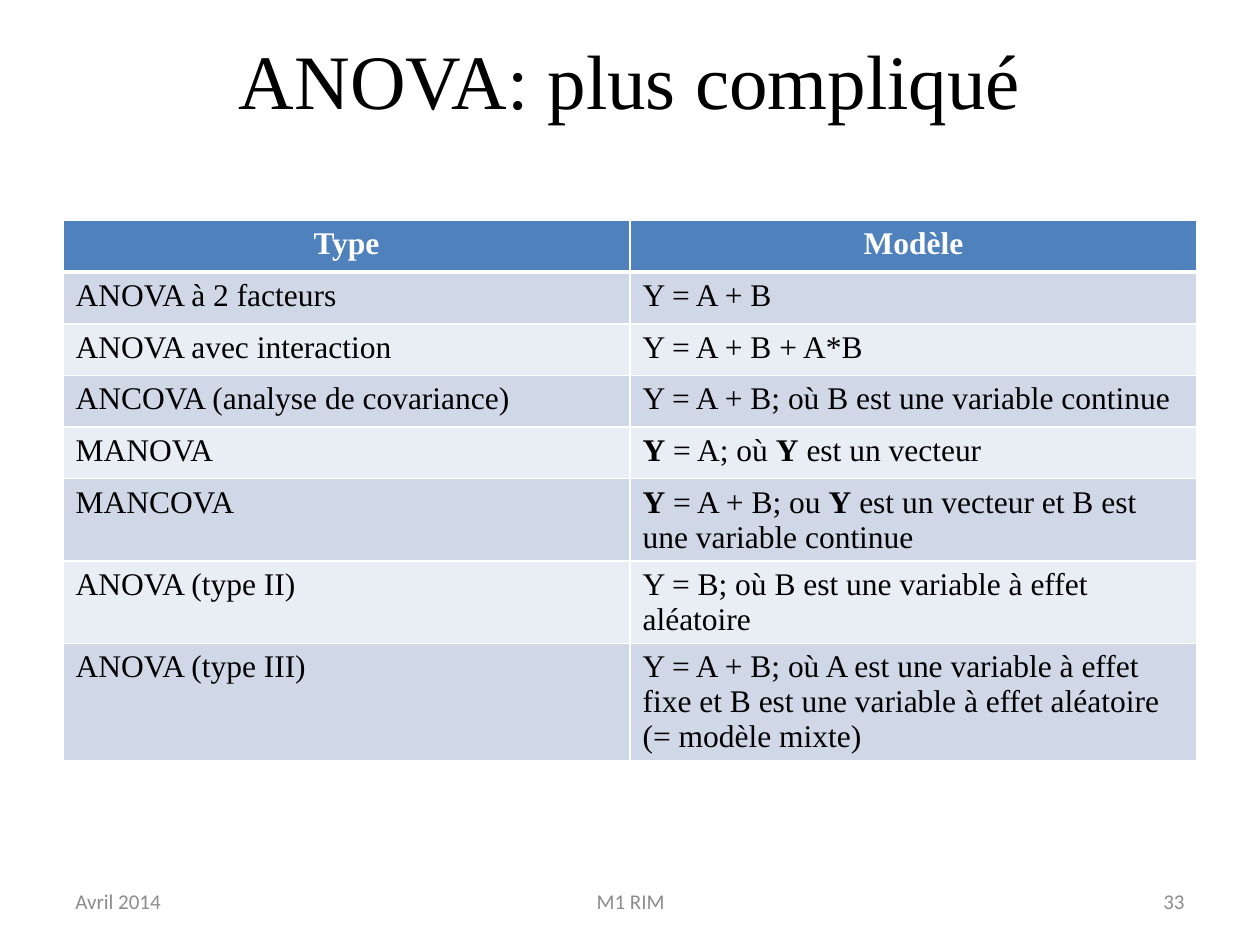
from dataclasses import dataclass

from lxml import etree
from pptx import Presentation
from pptx import util as u
from pptx.dml.color import RGBColor
from pptx.enum import text
from pptx.oxml import ns


@dataclass(frozen=True)
class Theme:
    serif: str = "Times New Roman"
    sans: str = "Calibri"
    ink: str = "000000"
    paper: str = "FFFFFF"
    header: str = "4F81BD"
    bands: tuple = ("D0D8E8", "E9EDF4")
    muted: str = "8C8C8C"
    title_size: int = 44
    table_size: int = 18
    footer_size: int = 12
    thin: int = 1
    thick: int = 3


@dataclass(frozen=True)
class Model:
    kind: str
    formula: str


@dataclass(frozen=True)
class FooterItem:
    wording: str
    left: float
    width: float
    align: text.PP_ALIGN


THEME = Theme()
ALIGN = text.PP_ALIGN
MARGIN = 0.5
CONTENT_WIDTH = 9
TABLE_TOP = 1.75
ROW_HEIGHT = 0.41
FOOTER_TOP = 6.95
FOOTER_HEIGHT = 0.4
BOLD_MARK = "**"

HEADING = Model("Type", "Modèle")
MODELS = [
    Model("ANOVA à 2 facteurs", "Y = A + B"),
    Model("ANOVA avec interaction", "Y = A + B + A*B"),
    Model("ANCOVA (analyse de covariance)", "Y = A + B; où B est une variable continue"),
    Model("MANOVA", "**Y** = A; où **Y** est un vecteur"),
    Model("MANCOVA", "**Y** = A + B; ou **Y** est un vecteur et B est une variable continue"),
    Model("ANOVA (type II)", "Y = B; où B est une variable à effet aléatoire"),
    Model(
        "ANOVA (type III)",
        "Y = A + B; où A est une variable à effet fixe et B est une variable "
        "à effet aléatoire (= modèle mixte)",
    ),
]
FOOTER = [
    FooterItem("Avril 2014", 0.5, 2.33, ALIGN.LEFT),
    FooterItem("M1 RIM", 3.42, 3.17, ALIGN.CENTER),
    FooterItem("33", 7.17, 2.33, ALIGN.RIGHT),
]


def style_run(run, size: int, face: str, color: str, bold: bool = False) -> None:
    run.font.size = u.Pt(size)
    run.font.name = face
    run.font.bold = bold
    run.font.color.rgb = RGBColor.from_string(color)


def draw_title(slide, wording: str) -> None:
    title = slide.shapes.title
    title.left, title.top = u.Inches(MARGIN), 0
    title.width, title.height = u.Inches(CONTENT_WIDTH), u.Inches(1.25)
    title.text_frame.text = wording
    title.text_frame.vertical_anchor = text.MSO_ANCHOR.MIDDLE
    paragraph = title.text_frame.paragraphs[0]
    paragraph.alignment = ALIGN.CENTER
    style_run(paragraph.runs[0], THEME.title_size, THEME.serif, THEME.ink)


def set_borders(cell, top: int, bottom: int) -> None:
    properties = cell._tc.get_or_add_tcPr()
    widths = {"lnL": THEME.thin, "lnR": THEME.thin, "lnT": top, "lnB": bottom}
    for position, (side, width) in enumerate(widths.items()):
        line = etree.Element(ns.qn(f"a:{side}"), w=str(u.Pt(width)))
        fill = etree.SubElement(line, ns.qn("a:solidFill"))
        etree.SubElement(fill, ns.qn("a:srgbClr"), val=THEME.paper)
        properties.insert(position, line)


def fill_cell(cell, wording: str, row: int) -> None:
    is_header = row == 0
    background = THEME.header if is_header else THEME.bands[(row - 1) % 2]
    cell.fill.solid()
    cell.fill.fore_color.rgb = RGBColor.from_string(background)
    set_borders(
        cell,
        top=THEME.thick if row == 1 else THEME.thin,
        bottom=THEME.thick if is_header else THEME.thin,
    )
    paragraph = cell.text_frame.paragraphs[0]
    paragraph.alignment = ALIGN.CENTER if is_header else ALIGN.LEFT
    for index, part in enumerate(wording.split(BOLD_MARK)):
        if part:
            run = paragraph.add_run()
            run.text = part
            color = THEME.paper if is_header else THEME.ink
            style_run(run, THEME.table_size, THEME.serif, color, is_header or index % 2 == 1)


def draw_models(slide, models: list[Model]) -> None:
    rows = [HEADING, *models]
    table = slide.shapes.add_table(
        len(rows), 2, u.Inches(MARGIN), u.Inches(TABLE_TOP),
        u.Inches(CONTENT_WIDTH), u.Inches(ROW_HEIGHT * len(rows)),
    ).table
    for index, model in enumerate(rows):
        table.rows[index].height = u.Inches(ROW_HEIGHT)
        fill_cell(table.cell(index, 0), model.kind, index)
        fill_cell(table.cell(index, 1), model.formula, index)


def draw_footer_item(slide, item: FooterItem) -> None:
    frame = slide.shapes.add_textbox(
        u.Inches(item.left), u.Inches(FOOTER_TOP),
        u.Inches(item.width), u.Inches(FOOTER_HEIGHT),
    ).text_frame
    frame.word_wrap = True
    frame.vertical_anchor = text.MSO_ANCHOR.MIDDLE
    frame.text = item.wording
    paragraph = frame.paragraphs[0]
    paragraph.alignment = item.align
    style_run(paragraph.runs[0], THEME.footer_size, THEME.sans, THEME.muted)


def main() -> None:
    deck = Presentation()
    deck.slide_width, deck.slide_height = u.Inches(10), u.Inches(7.5)
    slide = deck.slides.add_slide(deck.slide_layouts.get_by_name("Title Only"))
    draw_title(slide, "ANOVA: plus compliqué")
    draw_models(slide, MODELS)
    for item in FOOTER:
        draw_footer_item(slide, item)
    deck.save("out.pptx")


if __name__ == "__main__":
    main()
